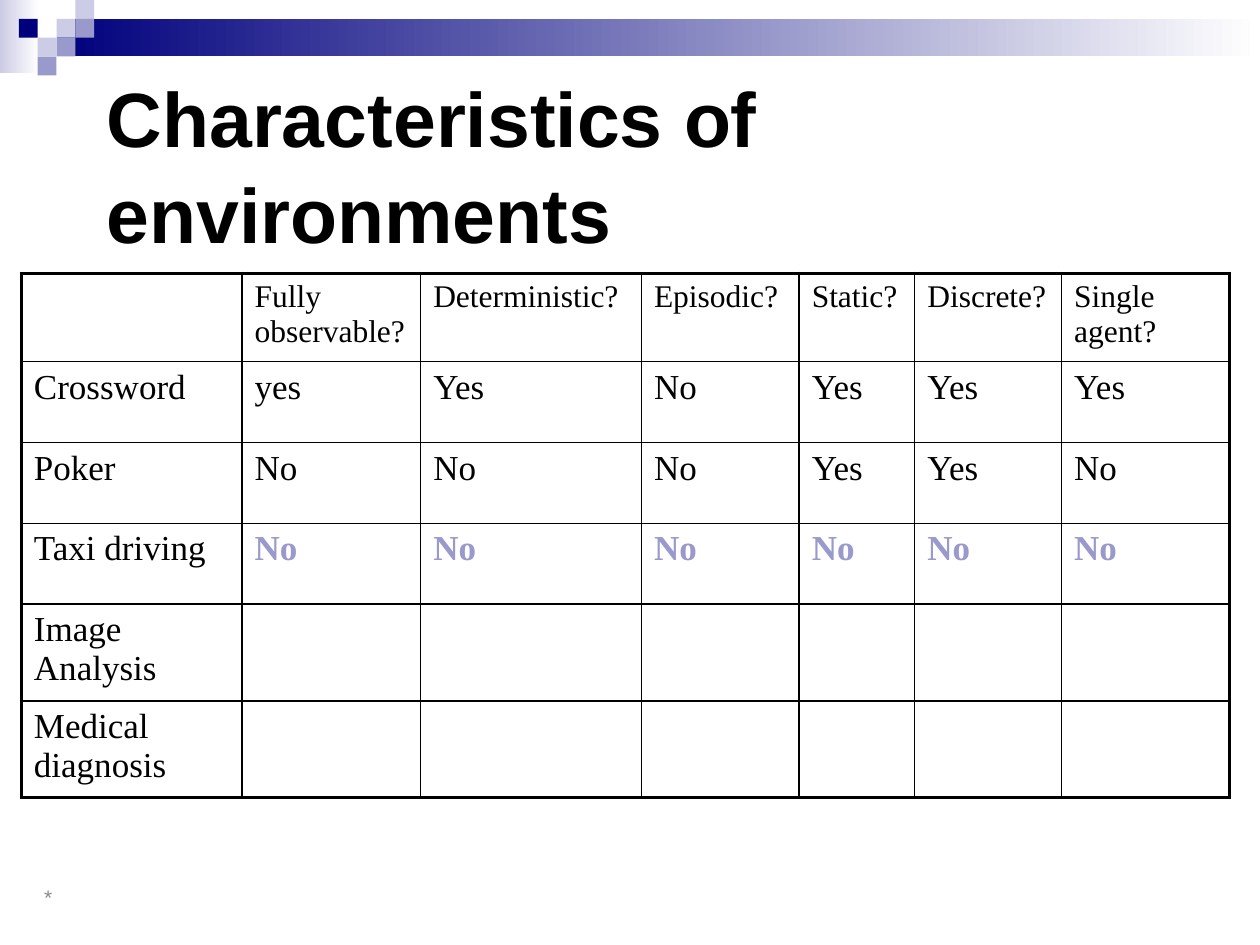
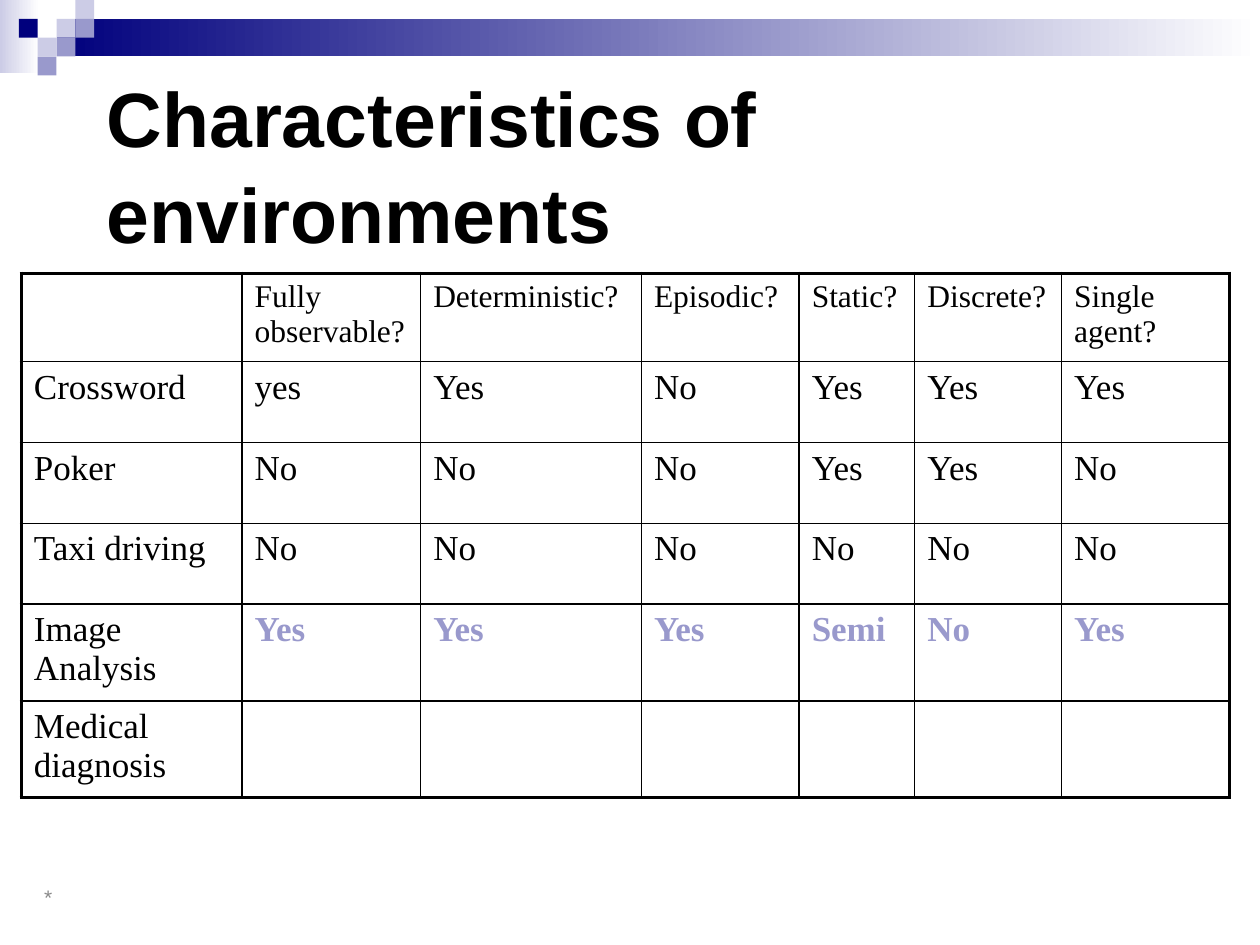
from dataclasses import dataclass

from lxml import etree
from pptx import Presentation, util as u
from pptx.dml.color import RGBColor
from pptx.enum import shapes, text
from pptx.oxml import ns

# Content
TITLE = "Characteristics of environments"
FOOTER = "*"
QUESTIONS = ["", "Fully observable?", "Deterministic?", "Episodic?",
             "Static?", "Discrete?", "Single agent?"]
ENVIRONMENTS = [
    ("Crossword", ["yes", "Yes", "No", "Yes", "Yes", "Yes"]),
    ("Poker", ["No", "No", "No", "Yes", "Yes", "No"]),
    ("Taxi driving", ["No", "No", "No", "No", "No", "No"]),
    ("Image Analysis", ["Yes", "Yes", "Yes", "Semi", "No", "Yes"]),
    ("Medical diagnosis", []),
]
# Environments answered on each slide; the newest one is highlighted
ANSWERED = [3, 4]


@dataclass(frozen=True)
class Theme:
    navy: str = "00007D"
    violet: str = "9999CC"
    pale: str = "CCCCE6"
    white: str = "FFFFFF"
    black: str = "000000"
    grey: str = "898989"
    sans: str = "Arial"
    serif: str = "Times New Roman"
    title_size: int = 44
    question_size: int = 18
    answer_size: int = 20
    footer_size: int = 12
    outer_line: float = 2.25
    inner_line: float = 1


THEME = Theme()

# Layout, in centimetres
TILE = 0.38
TILES = [  # column, row, colour
    (3, 1, THEME.pale), (4, 0, THEME.pale), (4, 1, THEME.violet),
    (2, 2, THEME.pale), (1, 1, THEME.navy), (3, 2, THEME.violet),
    (2, 3, THEME.violet),
]
FADES = [  # place, starting colour
    ((0, 0, 0.79, 1.47), THEME.pale),
    ((3 * TILE, TILE, 25.4 - 3 * TILE, 2 * TILE), THEME.navy),
]
TITLE_PLACE = (1.9, 1.7, 21.6, 3.18)
FOOTER_PLACE = (0.64, 17.58, 8.05, 1.02)
TABLE_CORNER = (0.43, 5.51)
COLUMN_WIDTHS = [4.45, 3.6, 4.45, 3.18, 2.33, 2.96, 3.39]
ROW_HEIGHTS = [1.78, 1.63, 1.63, 1.63, 1.95, 1.95]


def lengths(values):
    return [u.Cm(value) for value in values]


def add_span(para, words, font, size, color, bold=False):
    span = para.add_run()
    span.text = words
    span.font.name = font
    span.font.size = u.Pt(size)
    span.font.bold = bold
    span.font.color.rgb = RGBColor.from_string(color)


def add_block(page, place, color, fade_to=None):
    block = page.shapes.add_shape(shapes.MSO_SHAPE.RECTANGLE, *lengths(place))
    block.shadow.inherit = False
    block.line.fill.background()
    if fade_to is None:
        block.fill.solid()
        block.fill.fore_color.rgb = RGBColor.from_string(color)
        return
    block.fill.gradient()
    block.fill.gradient_angle = 0
    for stop, shade in zip(block.fill.gradient_stops, (color, fade_to)):
        stop.color.rgb = RGBColor.from_string(shade)


def add_label(page, place, words, size, color, bold=False, spacing=None):
    box = page.shapes.add_textbox(*lengths(place))
    frame = box.text_frame
    frame.word_wrap = True
    frame.vertical_anchor = text.MSO_ANCHOR.MIDDLE
    para = frame.paragraphs[0]
    para.line_spacing = spacing
    add_span(para, words, THEME.sans, size, color, bold)


def add_frame(page):
    """Corner mosaic, fading band, footer and title."""
    for place, color in FADES:
        add_block(page, place, color, THEME.white)
    for column, row, color in TILES:
        add_block(page, (column * TILE, row * TILE, TILE, TILE), color)
    add_label(page, FOOTER_PLACE, FOOTER, THEME.footer_size, THEME.grey)
    add_label(page, TITLE_PLACE, TITLE, THEME.title_size, THEME.black,
              bold=True, spacing=1.04)


def set_borders(cell, outer):
    """Rule all four sides, thicker on those in outer."""
    properties = cell._tc.get_or_add_tcPr()
    for side in "LRTB":
        width = THEME.outer_line if side in outer else THEME.inner_line
        line = etree.SubElement(properties, ns.qn(f"a:ln{side}"),
                                w=str(int(u.Pt(width))))
        fill = etree.SubElement(line, ns.qn("a:solidFill"))
        etree.SubElement(fill, ns.qn("a:srgbClr"), val=THEME.black)


def add_environment_table(page, answered):
    # Rows: questions first, then one per environment
    rows = [QUESTIONS]
    for number, (name, answers) in enumerate(ENVIRONMENTS):
        shown = answers if number < answered else []
        rows.append([name] + (shown or [""] * (len(QUESTIONS) - 1)))

    last_row, last_column = len(rows) - 1, len(QUESTIONS) - 1
    table = page.shapes.add_table(
        len(rows), len(QUESTIONS),
        *lengths((*TABLE_CORNER, sum(COLUMN_WIDTHS), sum(ROW_HEIGHTS)))).table
    table.first_row = table.horz_banding = False
    for column, width in zip(table.columns, COLUMN_WIDTHS):
        column.width = u.Cm(width)
    for row, height in zip(table.rows, ROW_HEIGHTS):
        row.height = u.Cm(height)

    for r, row in enumerate(rows):
        for c, words in enumerate(row):
            cell = table.cell(r, c)
            edges = {"L": c == 0, "R": c == last_column,
                     "T": r == 0, "B": r == last_row}
            set_borders(cell, [side for side, on in edges.items() if on])
            cell.fill.background()
            if words:
                newest = r == answered and c > 0
                add_span(cell.text_frame.paragraphs[0], words, THEME.serif,
                         THEME.answer_size if r else THEME.question_size,
                         THEME.violet if newest else THEME.black, newest)


def main():
    deck = Presentation()
    deck.slide_width, deck.slide_height = u.Cm(25.4), u.Cm(19.05)
    for answered in ANSWERED:
        page = deck.slides.add_slide(deck.slide_layouts[6])
        add_frame(page)
        add_environment_table(page, answered)
    deck.save("out.pptx")


if __name__ == "__main__":
    main()
